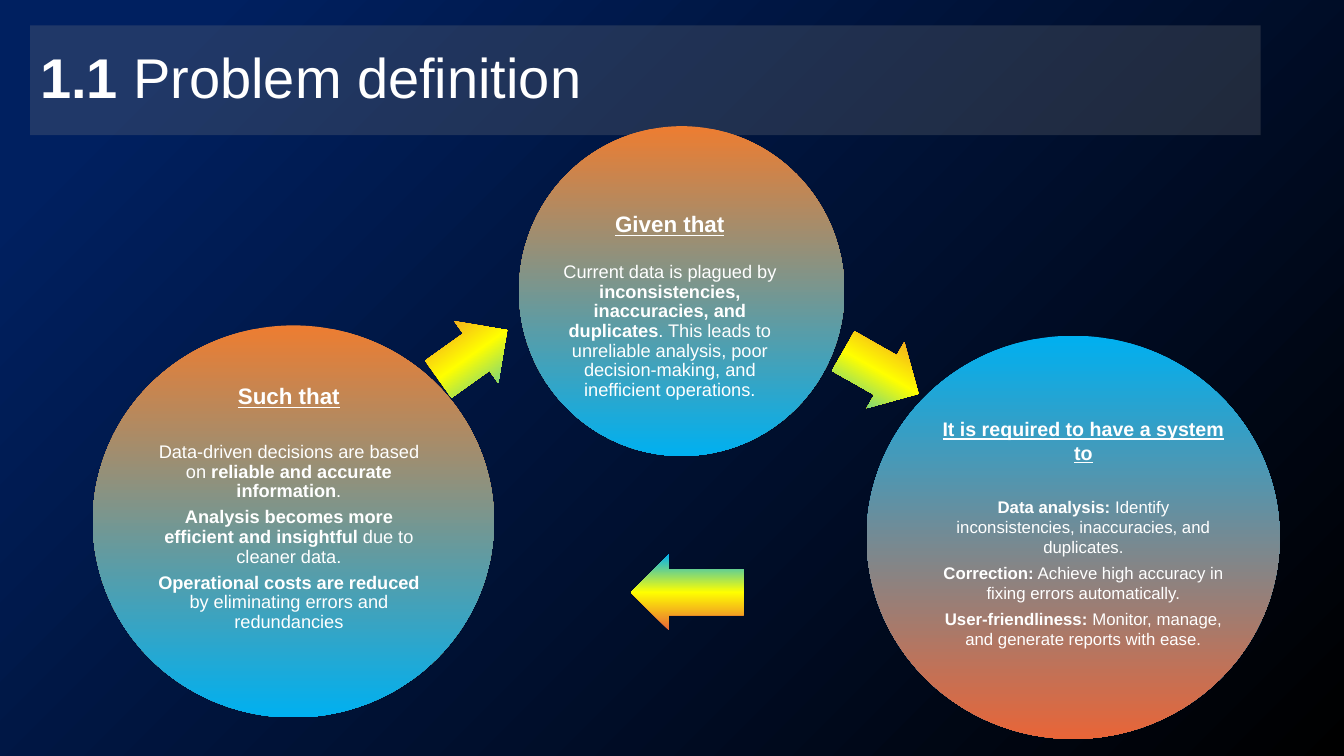
from lxml import etree
from pptx import Presentation
from pptx.dml.color import RGBColor
from pptx.enum.shapes import MSO_SHAPE
from pptx.enum.text import MSO_ANCHOR, PP_ALIGN
from pptx.oxml.ns import qn
from pptx.util import Cm, Pt

ORANGE, RED, YELLOW, BLUE = "ED7D31", "E86538", "FFFF00", "00B0F0"

STEPS = [
    {
        "circle": (13.08, 3.18, 8.2, 8.31), "colors": (ORANGE, BLUE),
        "box": (13.97, 4.8, 5.82, 5.87), "heading": "Given that",
        "heading_size": 16, "size": 13, "line_spacing": 0.9, "gap": 18, "space": 4.5, "bottom": 1.5,
        "body": [[("Current data is plagued by ", False),
                  ("inconsistencies, inaccuracies, and duplicates", True),
                  (". This leads to unreliable analysis, poor decision-making, "
                   "and inefficient operations.", False)]],
    },
    {
        "circle": (21.84, 8.46, 10.41, 10.16), "colors": (BLUE, RED),
        "box": (23.62, 10.16, 7.37, 7.19), "heading": "It is required to have a system to",
        "heading_size": 14, "size": 12, "line_spacing": 1.0, "gap": 23, "space": 4.2, "bottom": 19.5,
        "body": [[("Data analysis:", True),
                  (" Identify inconsistencies, inaccuracies, and duplicates.", False)],
                 [("Correction:", True),
                  (" Achieve high accuracy in fixing errors automatically.", False)],
                 [("User-friendliness:", True),
                  (" Monitor, manage, and generate reports with ease.", False)]],
    },
    {
        "circle": (2.34, 8.2, 10.11, 9.88), "colors": (ORANGE, BLUE),
        "box": (3.71, 9.65, 7.14, 6.99), "heading": "Such that",
        "heading_size": 16, "size": 13, "line_spacing": 0.9, "gap": 23.6, "space": 4.5, "bottom": 19.5,
        "body": [[("Data-driven decisions are based on ", False),
                  ("reliable and accurate information", True), (".", False)],
                 [("Analysis becomes more efficient and insightful", True),
                  (" due to cleaner data.", False)],
                 [("Operational costs are reduced", True),
                  (" by eliminating errors and redundancies", False)]],
    },
]

ARROWS = [
    ((21.11, 8.43, 2.18, 1.91), 29.6),
    ((15.9, 13.97, 2.84, 1.91), 180),
    ((10.85, 7.98, 2.13, 1.91), 324.5),
]


def color(value):
    return RGBColor.from_string(value)


def add_text(paragraph, text, size=12, bold=False, underline=False, font="Arial", fill="FFFFFF"):
    run = paragraph.add_run()
    run.text = text
    run.font.name = font
    run.font.size = Pt(size)
    run.font.bold = bold
    run.font.underline = underline
    run.font.color.rgb = color(fill)


def set_gradient(fill, element, stops, radial=False):
    fill.gradient()
    gradient = element.find(".//" + qn("a:gradFill"))
    for child in list(gradient):
        gradient.remove(child)
    stop_list = etree.SubElement(gradient, qn("a:gsLst"))
    for position, value in stops:
        stop = etree.SubElement(stop_list, qn("a:gs"), pos=str(position * 1000))
        etree.SubElement(stop, qn("a:srgbClr"), val=value)
    if radial:
        focus = etree.SubElement(gradient, qn("a:path"))
        focus.set("path", "circle")
        etree.SubElement(focus, qn("a:fillToRect"), l="100000", t="100000")
    else:
        etree.SubElement(gradient, qn("a:lin"), ang="5400000", scaled="0")


class SlideBuilder:
    def __init__(self, slide):
        self.slide = slide

    def background(self, stops):
        set_gradient(self.slide.background.fill, self.slide.element, stops, radial=True)

    def shape(self, kind, place):
        shape = self.slide.shapes.add_shape(kind, *map(Cm, place))
        shape.shadow.inherit = False
        shape.line.fill.background()
        return shape

    def title(self, place, number, text):
        shape = self.shape(MSO_SHAPE.RECTANGLE, place)
        shape.fill.solid()
        shape.fill.fore_color.rgb = color("7F7F7F")
        tint = shape.element.spPr.find(".//" + qn("a:srgbClr"))
        etree.SubElement(tint, qn("a:alpha"), val="26000")
        shape.text_frame.word_wrap = True
        shape.text_frame.vertical_anchor = MSO_ANCHOR.MIDDLE
        paragraph = shape.text_frame.paragraphs[0]
        paragraph.alignment = PP_ALIGN.LEFT
        paragraph.line_spacing = 0.9
        add_text(paragraph, number, size=40, bold=True)
        add_text(paragraph, text, size=40)

    def circle(self, place, colors):
        shape = self.shape(MSO_SHAPE.OVAL, place)
        set_gradient(shape.fill, shape.element, zip((0, 100), colors))

    def arrow(self, place, rotation):
        shape = self.shape(MSO_SHAPE.RIGHT_ARROW, place)
        shape.adjustments[0] = 0.6
        shape.adjustments[1] = 0.5
        shape.rotation = rotation
        set_gradient(shape.fill, shape.element, zip((0, 50, 100), (RED, YELLOW, BLUE)))

    def step_text(self, step):
        frame = self.slide.shapes.add_textbox(*map(Cm, step["box"])).text_frame
        frame.word_wrap = True
        frame.vertical_anchor = MSO_ANCHOR.MIDDLE
        frame.margin_left = frame.margin_right = frame.margin_top = Cm(0.05)
        frame.margin_bottom = Pt(step["bottom"])
        heading = frame.paragraphs[0]
        add_text(heading, step["heading"], size=step["heading_size"], bold=True, underline=True)
        for index, runs in enumerate(step["body"]):
            paragraph = frame.add_paragraph()
            paragraph.space_before = Pt(step["space"] if index else step["gap"])
            for text, bold in runs:
                add_text(paragraph, text, size=step["size"], bold=bold)
        for paragraph in frame.paragraphs:
            paragraph.alignment = PP_ALIGN.CENTER
            paragraph.line_spacing = step["line_spacing"]


def main():
    presentation = Presentation()
    presentation.slide_width = Cm(33.87)
    presentation.slide_height = Cm(19.05)
    builder = SlideBuilder(presentation.slides.add_slide(presentation.slide_layouts[6]))
    builder.background([(0, "000000"), (90, "002060")])
    builder.title((0.76, 0.64, 31.01, 2.77), "1.1", " Problem definition")
    for step in STEPS:
        builder.circle(step["circle"], step["colors"])
        builder.step_text(step)
    for place, rotation in ARROWS:
        builder.arrow(place, rotation)
    presentation.save("out.pptx")


if __name__ == "__main__":
    main()
